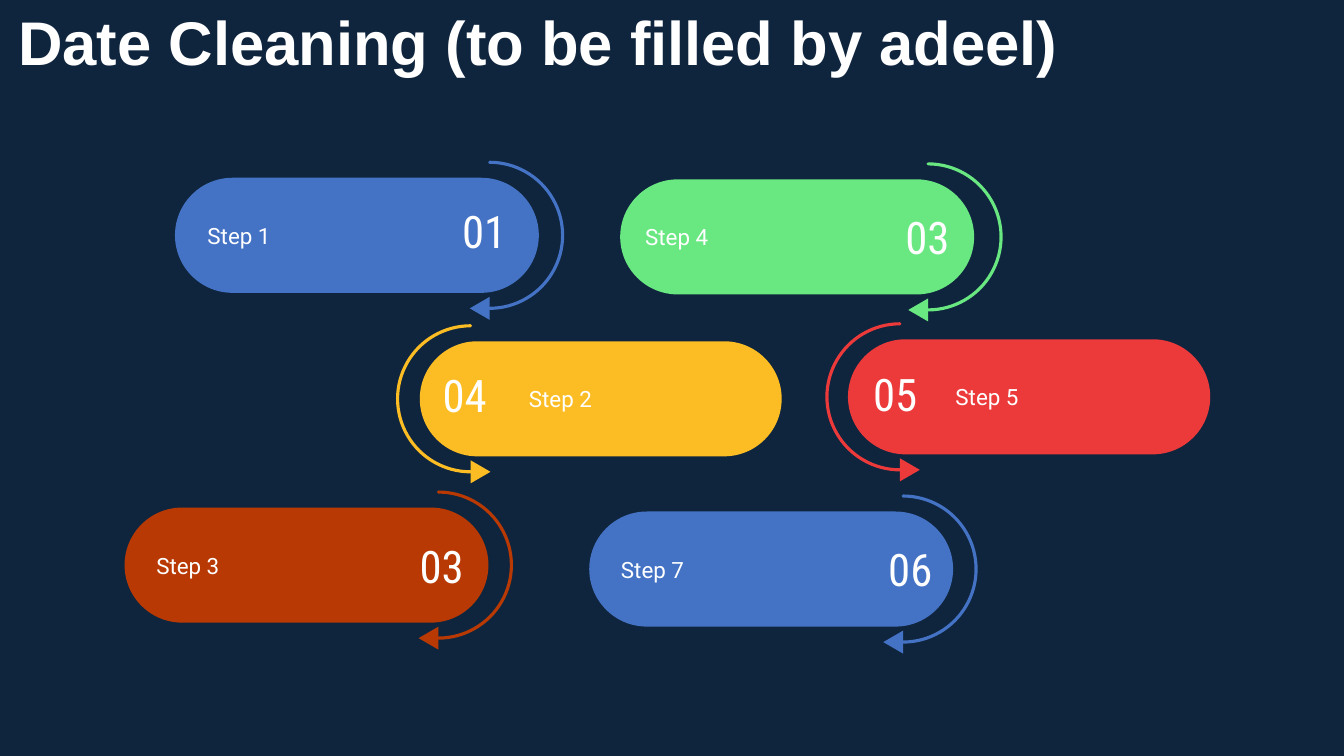
from dataclasses import dataclass

from pptx import Presentation
from pptx.dml.color import RGBColor
from pptx.enum.shapes import MSO_SHAPE
from pptx.enum.text import MSO_ANCHOR, PP_ALIGN
from pptx.oxml.ns import qn
from pptx.shapes.autoshape import Shape
from pptx.shapes.shapetree import GroupShapes
from pptx.util import Cm, Pt

COLORS = {
    "navy": "0F253E",
    "white": "FFFFFF",
    "blue": "4472C4",
    "green": "69E781",
    "red": "EC3A3B",
    "rust": "B83903",
    "yellow": "FCBD24",
}
TITLE_FORMAT = {"name": "Arial", "size": Pt(44), "bold": True}
LABEL_FORMAT = {"name": "Roboto", "size": Pt(16)}
NUMBER_FORMAT = {"name": "Roboto Condensed", "size": Pt(32)}
FRAME_FORMAT = {
    "word_wrap": True,
    "vertical_anchor": MSO_ANCHOR.MIDDLE,
    "margin_left": Cm(0.33),
    "margin_right": Cm(0.33),
    "margin_top": Cm(0.33),
    "margin_bottom": Cm(0.33),
}

PILL_HEIGHT = 2.9
ARC_RADIUS = 1.84
HEAD_WIDTH, HEAD_LENGTH = 0.58, 0.5
LABEL_WIDTH, NUMBER_WIDTH, TEXT_HEIGHT = 6.2, 1.96, 1.8


@dataclass(frozen=True)
class Step:
    label: str
    number: str
    color: str
    arc_on_right: bool
    left: float
    middle: float
    width: float
    arc_center: float
    label_left: float
    number_left: float
    number_lift: float = 0.0


STEPS = [
    Step("Step 1", "01", "blue", True, 4.41, 5.93, 9.17, 12.34, 4.9, 11.13, 0.11),
    Step("Step 5", "05", "red", False, 21.37, 10.0, 9.13, 22.68, 23.75, 21.49, 0.09),
    Step("Step 3", "03", "rust", True, 3.14, 14.24, 9.17, 11.05, 3.61, 10.06),
    Step("Step 7", "06", "blue", True, 14.85, 14.34, 9.17, 22.76, 15.32, 21.87),
    Step("Step 4", "03", "green", True, 15.63, 5.97, 8.92, 23.39, 15.93, 22.3),
    Step("Step 2", "04", "yellow", False, 10.58, 10.05, 9.12, 11.86, 13.0, 10.64, 0.1),
]


def color(name: str) -> RGBColor:
    return RGBColor.from_string(COLORS[name])


def add_centered(shapes: GroupShapes, kind: MSO_SHAPE, center: float,
                 middle: float, width: float, height: float) -> Shape:
    shape = shapes.add_shape(kind, Cm(center - width / 2), Cm(middle - height / 2),
                             Cm(width), Cm(height))
    shape.shadow.inherit = False
    return shape


def fill_plain(shape: Shape, name: str) -> None:
    shape.fill.solid()
    shape.fill.fore_color.rgb = color(name)
    shape.line.fill.background()


def add_text(shapes: GroupShapes, text: str, left: float, middle: float, width: float,
             height: float, font_format: dict, align: PP_ALIGN = PP_ALIGN.LEFT,
             spacing: float = 1.0) -> None:
    box = shapes.add_textbox(Cm(left), Cm(middle - height / 2), Cm(width), Cm(height))
    for key, value in FRAME_FORMAT.items():
        setattr(box.text_frame, key, value)
    para = box.text_frame.paragraphs[0]
    para.alignment = align
    para.line_spacing = spacing
    span = para.add_run()
    span.text = text
    for key, value in font_format.items():
        setattr(span.font, key, value)
    span.font.color.rgb = color("white")


def add_arrow(shapes: GroupShapes, step: Step) -> None:
    arc = add_centered(shapes, MSO_SHAPE.ARC, step.arc_center, step.middle,
                       2 * ARC_RADIUS, 2 * ARC_RADIUS)
    top, bottom = 162.0, 54.0
    start, end = (top, bottom) if step.arc_on_right else (bottom, top)
    arc.adjustments[0] = start
    arc.adjustments[1] = end
    arc.fill.background()
    arc.line.color.rgb = color(step.color)
    arc.line.width = Pt(2.25)
    arc.element.spPr.find(qn("a:ln")).set("cap", "rnd")

    direction = -1 if step.arc_on_right else 1
    head = add_centered(shapes, MSO_SHAPE.ISOSCELES_TRIANGLE,
                        step.arc_center + direction * HEAD_LENGTH / 2,
                        step.middle + ARC_RADIUS, HEAD_WIDTH, HEAD_LENGTH)
    head.rotation = 270 if step.arc_on_right else 90
    fill_plain(head, step.color)


def add_step(shapes: GroupShapes, step: Step) -> None:
    pill = add_centered(shapes, MSO_SHAPE.ROUNDED_RECTANGLE, step.left + step.width / 2,
                        step.middle, step.width, PILL_HEIGHT)
    pill.adjustments[0] = 0.5
    fill_plain(pill, step.color)
    add_text(shapes, step.label, step.label_left, step.middle, LABEL_WIDTH,
             TEXT_HEIGHT, LABEL_FORMAT)
    add_text(shapes, step.number, step.number_left, step.middle - step.number_lift,
             NUMBER_WIDTH, TEXT_HEIGHT, NUMBER_FORMAT, PP_ALIGN.RIGHT)
    add_arrow(shapes, step)


def main() -> None:
    deck = Presentation()
    deck.slide_width, deck.slide_height = Cm(33.87), Cm(19.05)
    page = deck.slides.add_slide(deck.slide_layouts[6])
    page.background.fill.solid()
    page.background.fill.fore_color.rgb = color("navy")
    add_text(page.shapes, "Date Cleaning (to be filled by adeel)", 0.13, 1.14,
             28.47, 1.93, TITLE_FORMAT, spacing=0.9)
    for step in STEPS:
        add_step(page.shapes.add_group_shape().shapes, step)
    deck.save("out.pptx")


if __name__ == "__main__":
    main()
